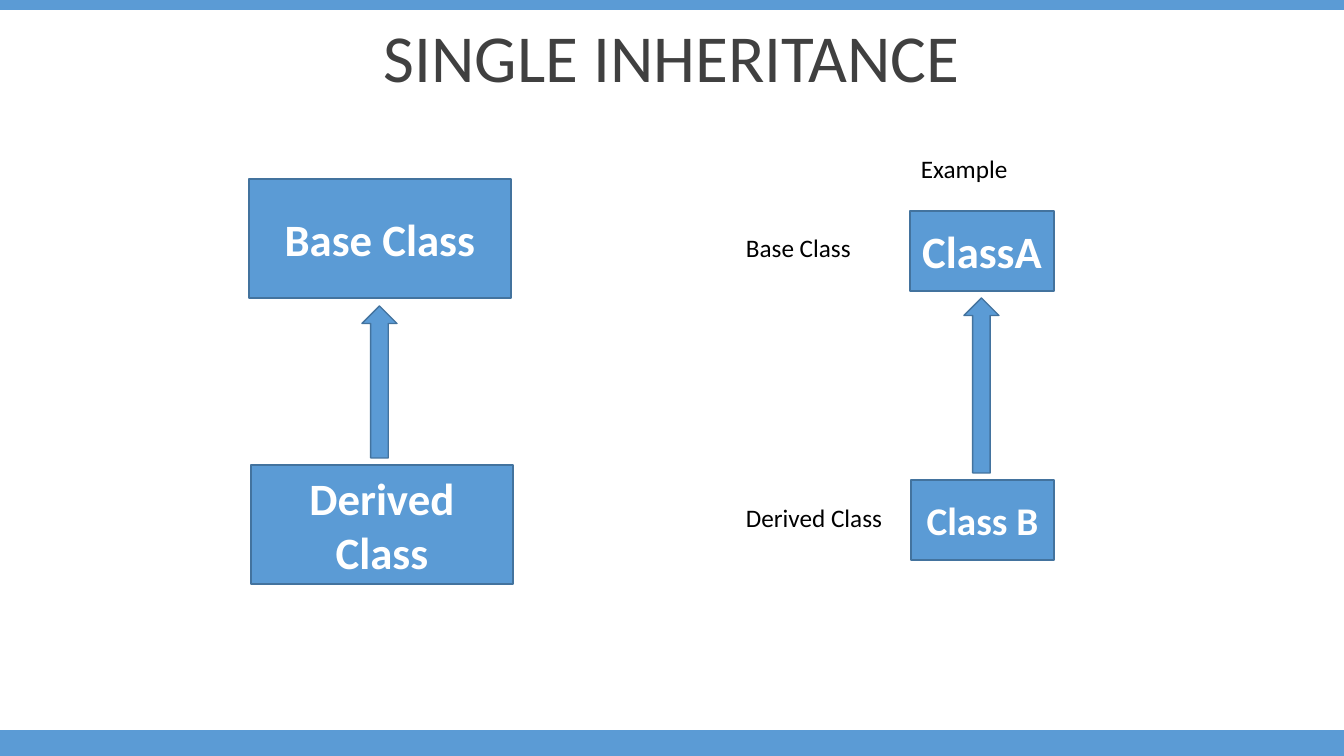
import pptx
import pptx.dml.color
import pptx.enum.shapes
import pptx.enum.text
import pptx.util

SHAPE = pptx.enum.shapes.MSO_SHAPE
ALIGN = pptx.enum.text.PP_ALIGN
ANCHOR = pptx.enum.text.MSO_ANCHOR
PX = 914400 / 100.8
WIDTH, HEIGHT = 1344, 756


def color(value):
    return pptx.dml.color.RGBColor.from_string(value)


def emu(*lengths):
    return [pptx.util.Emu(round(length * PX)) for length in lengths]


def apply(target, values):
    for name, value in values.items():
        setattr(target, name, value)


class InheritanceSlide:
    """Draws bars, labels and class diagrams on one slide in a shared style."""

    font_name = "Calibri"
    blue = "5B9BD5"
    outline = "43739E"

    def __init__(self, slide):
        self.slide = slide

    def caption(self, shape, text, size, ink, bold=False, align=ALIGN.LEFT,
                anchor=ANCHOR.TOP, **spacing):
        frame = shape.text_frame
        apply(frame, {"word_wrap": True, "vertical_anchor": anchor})
        paragraph = frame.paragraphs[0]
        apply(paragraph, {"alignment": align, **spacing})
        run = paragraph.add_run()
        run.text = text
        apply(run.font, {"name": self.font_name, "size": pptx.util.Pt(size), "bold": bold})
        run.font.color.rgb = color(ink)

    def block(self, parent, kind, box, outlined=True):
        shape = parent.shapes.add_shape(kind, *emu(*box))
        shape.shadow.inherit = False
        shape.fill.solid()
        shape.fill.fore_color.rgb = color(self.blue)
        if outlined:
            shape.line.color.rgb = color(self.outline)
            shape.line.width = pptx.util.Pt(1)
        else:
            shape.line.fill.background()
        return shape

    def bar(self, top, height):
        self.block(self.slide, SHAPE.RECTANGLE, (0, top, WIDTH, height), outlined=False)

    def label(self, text, box, size=18, ink="000000", **style):
        self.caption(self.slide.shapes.add_textbox(*emu(*box)), text, size, ink, **style)

    def diagram(self, classes, arrow_box):
        group = self.slide.shapes.add_group_shape()
        for name, size, box in classes:
            class_box = self.block(group, SHAPE.RECTANGLE, box)
            self.caption(class_box, name, size, "FFFFFF", bold=True,
                         align=ALIGN.CENTER, anchor=ANCHOR.MIDDLE)
        self.block(group, SHAPE.UP_ARROW, arrow_box)


def main():
    deck = pptx.Presentation()
    deck.slide_width, deck.slide_height = emu(WIDTH, HEIGHT)
    page = InheritanceSlide(deck.slides.add_slide(deck.slide_layouts[6]))

    page.bar(730, 26)
    page.bar(0, 10)
    page.label("SINGLE INHERITANCE", (0, 18, WIDTH, 85), 48, "404040",
               align=ALIGN.CENTER, anchor=ANCHOR.MIDDLE,
               line_spacing=0.9, space_before=pptx.util.Pt(10))

    page.diagram([("Base Class", 32, (249, 179, 262, 119)),
                  ("Derived Class", 32, (251, 465, 262, 119))],
                 (362, 306, 35, 152))
    page.diagram([("ClassA", 32, (910, 211, 144, 80)),
                  ("Class B", 28, (911, 480, 143, 80))],
                 (964, 298, 35, 175))

    page.label("Example", (911, 148, 119, 40))
    for role, top in (("Base Class", 227), ("Derived Class", 497)):
        page.label(role, (736, top, 158, 40))

    deck.save("out.pptx")


if __name__ == "__main__":
    main()
